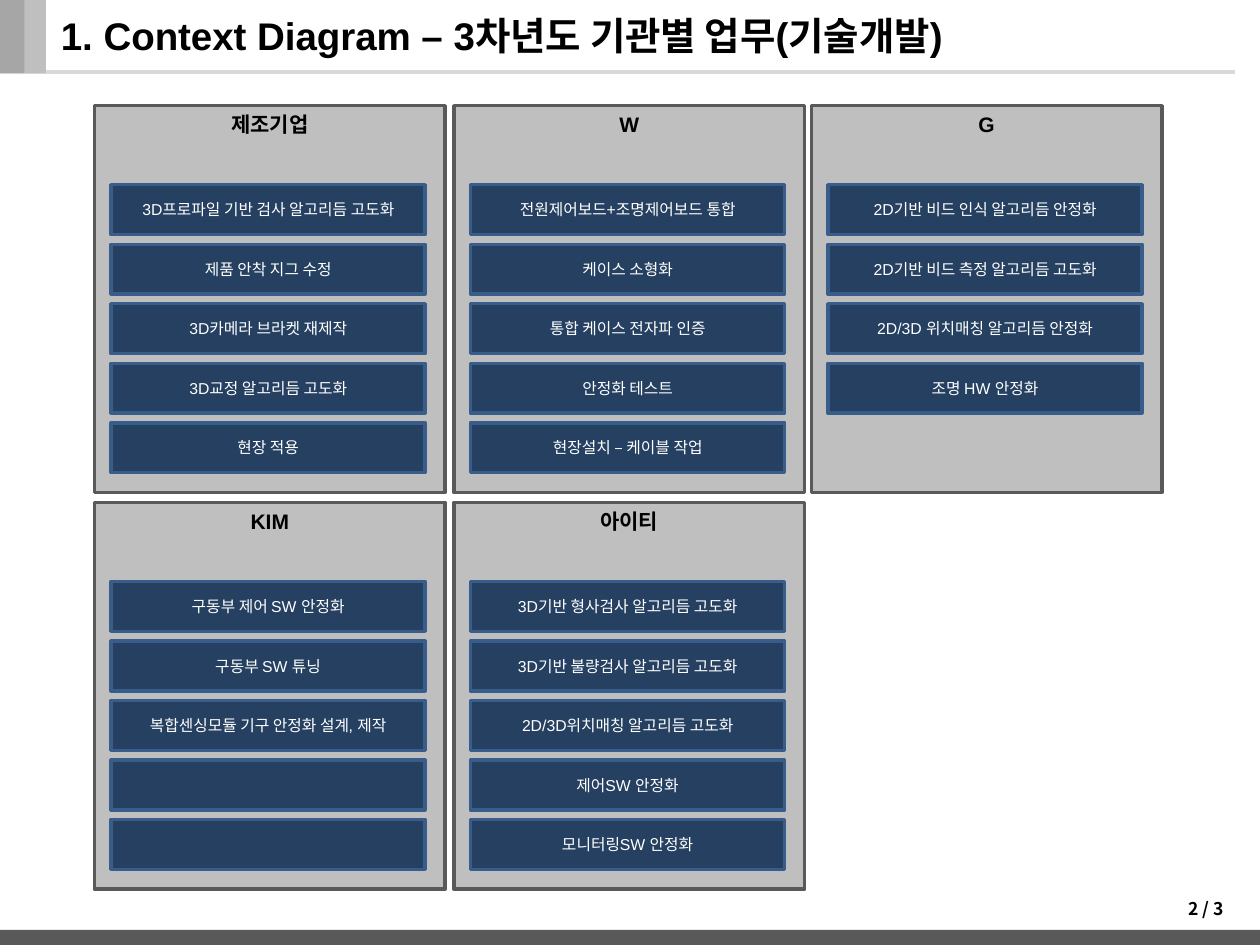
import pptx
import pptx.util
import pptx.dml.color
import pptx.enum.shapes
import pptx.enum.text
import pptx.oxml
import pptx.oxml.ns

Pt = pptx.util.Pt
ALIGN = pptx.enum.text.PP_ALIGN
ANCHOR = pptx.enum.text.MSO_ANCHOR

theme = {
    "latin": "Arial",
    "korean": "Noto Sans CJK KR",
    "black": "000000",
    "white": "FFFFFF",
    "rule": "D9D9D9",
    "light": "BFBFBF",
    "mid": "A6A6A6",
    "dark": "595959",
    "task": "254061",
    "task_edge": "385D8A",
    "title_size": 22,
    "partner_size": 12,
    "page_size": 10,
    "task_size": 9,
}


def rgb(key):
    return pptx.dml.color.RGBColor.from_string(theme[key])


def write(shape, text, size, color, bold, align, anchor, latin="latin"):
    frame = shape.text_frame
    frame.text = text
    frame.word_wrap = True
    frame.auto_size = pptx.enum.text.MSO_AUTO_SIZE.NONE
    frame.vertical_anchor = anchor
    paragraph = frame.paragraphs[0]
    paragraph.alignment = align
    for run in paragraph.runs:
        run.font.size = Pt(theme[size])
        run.font.bold = bold
        run.font.name = theme[latin]
        run.font.color.rgb = rgb(color)
        east_asian = pptx.oxml.parse_xml(
            f'<a:ea {pptx.oxml.ns.nsdecls("a")} typeface="{theme["korean"]}"/>'
        )
        run.font._element.find(pptx.oxml.ns.qn("a:latin")).addnext(east_asian)


def box(left, top, width, height, fill, edge=None):
    shape = slide.shapes.add_shape(
        pptx.enum.shapes.MSO_SHAPE.RECTANGLE, Pt(left), Pt(top), Pt(width), Pt(height)
    )
    shape.shadow.inherit = False
    shape.fill.solid()
    shape.fill.fore_color.rgb = rgb(fill)
    if edge:
        shape.line.color.rgb = rgb(edge)
        shape.line.width = Pt(2)
    else:
        shape.line.fill.background()
    return shape


deck = pptx.Presentation()
deck.slide_width, deck.slide_height = Pt(720), Pt(540)
slide = deck.slides.add_slide(deck.slide_layouts[5])

header_rule = slide.shapes.add_connector(
    pptx.enum.shapes.MSO_CONNECTOR.STRAIGHT, Pt(705.6), Pt(41), Pt(0), Pt(41)
)
header_rule.line.color.rgb = rgb("rule")
header_rule.line.width = Pt(2.25)
header_rule._element.spPr.append(
    pptx.oxml.parse_xml(f'<a:effectLst {pptx.oxml.ns.nsdecls("a")}/>')
)
box(13.7, 0, 12.6, 41.8, "light")
box(0, 0, 14, 41.8, "mid")
box(0, 531.4, 720, 8.6, "dark")

title = slide.shapes.title
title.left, title.top, title.width, title.height = Pt(27.6), Pt(0), Pt(580), Pt(39.6)
write(title, "1. Context Diagram – 3차년도 기관별 업무(기술개발)",
      "title_size", "black", True, ALIGN.LEFT, ANCHOR.MIDDLE)

column_lefts = [54, 259.4, 463.6]
row_tops = [60.4, 287.2]
task_pitch = 34
partners = [
    (0, 0, "제조기업", ["3D프로파일 기반 검사 알고리듬 고도화", "제품 안착 지그 수정",
                    "3D카메라 브라켓 재제작", "3D교정 알고리듬 고도화", "현장 적용"]),
    (0, 1, "W", ["전원제어보드+조명제어보드 통합", "케이스 소형화",
                 "통합 케이스 전자파 인증", "안정화 테스트", "현장설치 – 케이블 작업"]),
    (0, 2, "G", ["2D기반 비드 인식 알고리듬 안정화", "2D기반 비드 측정 알고리듬 고도화",
                 "2D/3D 위치매칭 알고리듬 안정화", "조명 HW 안정화"]),
    (1, 0, "KIM", ["구동부 제어 SW 안정화", "구동부 SW 튜닝",
                   "복합센싱모듈 기구 안정화 설계, 제작", "", ""]),
    (1, 1, "아이티", ["3D기반 형사검사 알고리듬 고도화", "3D기반 불량검사 알고리듬 고도화",
                   "2D/3D위치매칭 알고리듬 고도화", "제어SW 안정화", "모니터링SW 안정화"]),
]
for row, column, partner, tasks in partners:
    left, top = column_lefts[column], row_tops[row]
    panel = box(left, top, 200.4, 221, "light", "dark")
    write(panel, partner, "partner_size", "black", True, ALIGN.CENTER, ANCHOR.TOP)
    for index, task in enumerate(tasks):
        bar = box(left + 9.5, top + 45.2 + index * task_pitch, 179.4, 28.4,
                  "task", "task_edge")
        if task:
            write(bar, task, "task_size", "white", False, ALIGN.CENTER, ANCHOR.MIDDLE)

page_number = slide.shapes.add_textbox(Pt(671.8), Pt(509.8), Pt(37.4), Pt(26.6))
write(page_number, "2 / 3", "page_size", "black", True, ALIGN.LEFT, ANCHOR.TOP, "korean")

deck.save("out.pptx")
